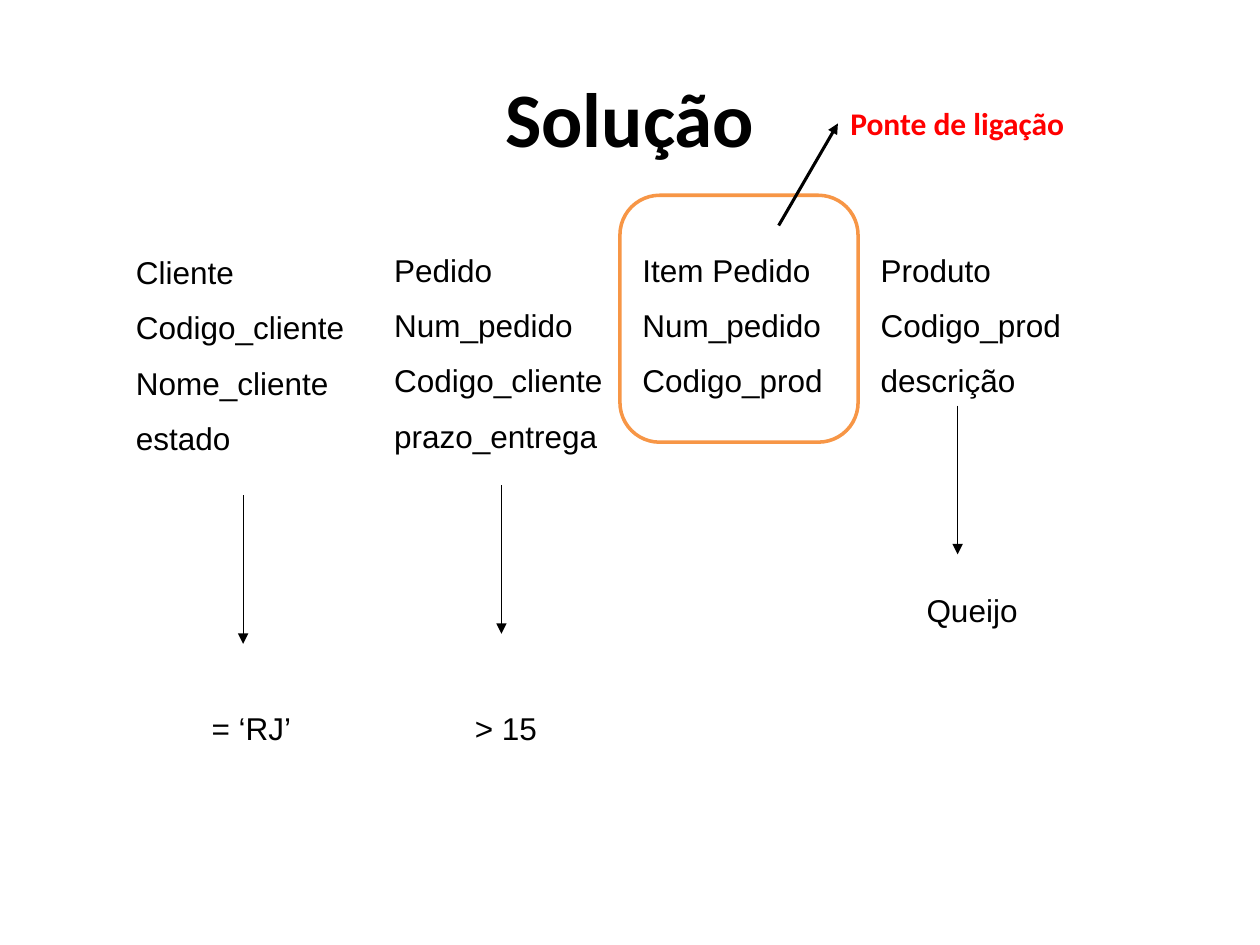
from lxml.etree import SubElement
from pptx import Presentation
from pptx.dml.color import RGBColor
from pptx.enum.shapes import MSO_CONNECTOR as Conn, MSO_SHAPE as Shape
from pptx.enum.text import MSO_ANCHOR as Anchor, PP_ALIGN as Align
from pptx.oxml.ns import qn
from pptx.util import Inches, Pt

BLACK, RED, ORANGE = "000000", "FF0000", "F79646"


def color(code):
    return RGBColor.from_string(code)


class Board:
    """Holds the text style and the current slide."""
    face, size, gap = "Arial", 18, 10

    def __init__(self, slide):
        self.slide = slide

    def style(self, par, face=None, size=None, tint=BLACK, bold=False):
        font = par.font
        font.name = face or self.face
        font.size = Pt(size or self.size)
        font.bold = bold
        font.color.rgb = color(tint)

    def title(self, text, *box):
        shape = self.slide.shapes.title
        shape.left, shape.top, shape.width, shape.height = map(Inches, box)
        frame = shape.text_frame
        frame.text = text
        frame.vertical_anchor = Anchor.MIDDLE
        par = frame.paragraphs[0]
        par.alignment = Align.CENTER
        self.style(par, "Calibri", 44, bold=True)

    def text(self, lines, *box, align=Align.LEFT, **look):
        frame = self.slide.shapes.add_textbox(*map(Inches, box)).text_frame
        frame.word_wrap = True
        for i, line in enumerate(lines):
            par = frame.paragraphs[0] if i == 0 else frame.add_paragraph()
            par.text = line
            par.alignment = align
            if i:
                par.space_before = Pt(self.gap)
            self.style(par, **look)

    def arrow(self, x1, y1, x2, y2, width=0.75):
        line = self.slide.shapes.add_connector(
            Conn.STRAIGHT, *map(Inches, (x1, y1, x2, y2)))
        line.line.color.rgb = color(BLACK)
        line.line.width = Pt(width)
        SubElement(line.line._get_or_add_ln(), qn("a:tailEnd"), type="triangle")
        SubElement(line._element.spPr, qn("a:effectLst"))

    def frame(self, *box):
        shape = self.slide.shapes.add_shape(
            Shape.ROUNDED_RECTANGLE, *map(Inches, box))
        shape.shadow.inherit = False
        shape.fill.background()
        shape.line.color.rgb = color(ORANGE)
        shape.line.width = Pt(2)


def main():
    deck = Presentation()
    deck.slide_width, deck.slide_height = Inches(10), Inches(7.5)
    board = Board(deck.slides.add_slide(deck.slide_layouts[5]))
    board.title("Solução", 0.5, 0.3, 9, 1.25)

    # Tables and their fields
    tables = [
        (0.98, 1.96, 1.89, ["Cliente", "Codigo_cliente", "Nome_cliente", "estado"]),
        (3.03, 1.94, 1.89, ["Pedido", "Num_pedido", "Codigo_cliente", "prazo_entrega"]),
        (5, 1.94, 1.89, ["Item Pedido", "Num_pedido", "Codigo_prod"]),
        (6.89, 1.94, 2.05, ["Produto", "Codigo_prod", "descrição"]),
    ]
    for x, y, width, lines in tables:
        board.text(lines, x, y, width, 0.38 + 0.46 * (len(lines) - 1))

    # Conditions below the tables: arrow start, then label place
    tests = [
        (1.93, 3.93, 1.09, 5.58, "= ‘RJ’"),
        (3.98, 3.85, 3.11, 5.58, "> 15"),
        (7.6, 3.22, 6.81, 4.64, "Queijo"),
    ]
    for x, y, left, top, label in tests:
        board.arrow(x, y, x, y + 1.18)
        board.text([label], left, top, 1.81, 0.4, align=Align.CENTER)

    # Linking table
    board.frame(4.92, 1.55, 1.89, 1.96)
    board.text(["Ponte de ligação"], 6.65, 0.78, 2.05, 0.4,
               face="Calibri", tint=RED, bold=True)
    board.arrow(6.18, 1.79, 6.65, 0.98, 1.75)

    deck.save("out.pptx")


if __name__ == "__main__":
    main()
